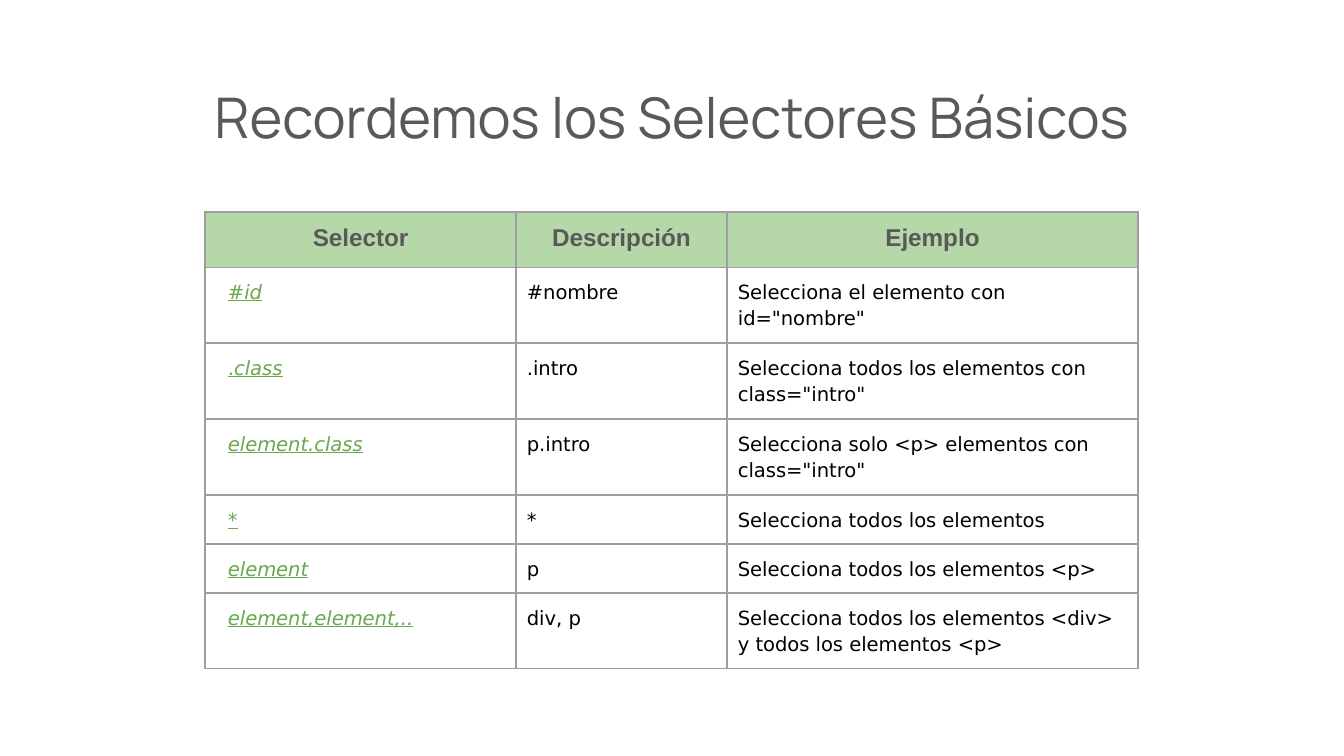
from dataclasses import dataclass

from pptx import Presentation
from pptx.dml.color import RGBColor as Rgb
from pptx.enum.text import MSO_ANCHOR as Anchor, PP_ALIGN as Align
from pptx.oxml import parse_xml
from pptx.oxml.ns import nsdecls
from pptx.util import Pt

UNIT = 914400 / 134.4


@dataclass(frozen=True)
class Theme:
    gray: str = "595959"
    green: str = "6AA84F"
    mint: str = "B6D7A8"
    black: str = "000000"
    edge: str = "9E9E9E"
    title: float = 30
    head: float = 13
    body: float = 10.5
    line: float = 0.75


LOOK = Theme()
HEAD = ("Selector", "Descripción", "Ejemplo")
ROWS = (
    ("#id", "#nombre", 'Selecciona el elemento con id="nombre"'),
    (".class", ".intro", 'Selecciona todos los elementos con class="intro"'),
    ("element.class", "p.intro", 'Selecciona solo <p> elementos con class="intro"'),
    ("*", "*", "Selecciona todos los elementos"),
    ("element", "p", "Selecciona todos los elementos <p>"),
    ("element,element,..", "div, p",
     "Selecciona todos los elementos <div> y todos los elementos <p>"),
)
WIDE = (311, 211, 411)
TALL = (54, 75, 75, 75, 49, 49, 75)


def px(num):
    return round(num * UNIT)


def write(para, text, size, font, color, bold=False, slant=False, under=False,
          align=Align.LEFT, space=None):
    para.alignment = align
    para.line_spacing = space
    run = para.add_run()
    run.text = text
    face = run.font
    face.name, face.size = font, Pt(size)
    face.color.rgb = Rgb.from_string(color)
    face.bold, face.italic, face.underline = bold, slant, under


def inset(part, left, rest):
    part.margin_left = px(left)
    part.margin_top = part.margin_right = part.margin_bottom = px(rest)


def border(cell):
    props = cell._tc.get_or_add_tcPr()
    for side in "LRTB":
        props.append(parse_xml(
            f'<a:ln{side} {nsdecls("a")} w="{Pt(LOOK.line)}"><a:solidFill>'
            f'<a:srgbClr val="{LOOK.edge}"/></a:solidFill></a:ln{side}>'))


def title(slide, box, text):
    frame = slide.shapes.add_textbox(*map(px, box)).text_frame
    frame.word_wrap = True
    frame.vertical_anchor = Anchor.MIDDLE
    inset(frame, 0, 0)
    write(frame.paragraphs[0], text, LOOK.title, "Manrope", LOOK.gray,
          align=Align.CENTER)


def header(cell, text):
    inset(cell, 13, 13)
    cell.fill.solid()
    cell.fill.fore_color.rgb = Rgb.from_string(LOOK.mint)
    write(cell.text_frame.paragraphs[0], text, LOOK.head, "Arial", LOOK.gray,
          bold=True, align=Align.CENTER)


def entry(cell, text, link):
    inset(cell, 23 if link else 11, 11)
    cell.fill.background()
    name = text.lstrip("#.*") if link else ""
    mark = text.removesuffix(name)
    color = LOOK.green if link else LOOK.black
    for part, slant in ((mark, False), (name, True)):
        if part:
            write(cell.text_frame.paragraphs[0], part, LOOK.body, "DejaVu Sans",
                  color, slant=slant, under=link, space=1.15)


def table(slide, box, rows):
    grid = slide.shapes.add_table(len(rows), len(WIDE), *map(px, box)).table
    grid.horz_banding = False
    for col, wide in zip(grid.columns, WIDE):
        col.width = px(wide)
    for row, tall in zip(grid.rows, TALL):
        row.height = px(tall)
    for i, row in enumerate(rows):
        for j, text in enumerate(row):
            cell = grid.cell(i, j)
            border(cell)
            if i == 0:
                header(cell, text)
            else:
                entry(cell, text, j == 0)


def main():
    deck = Presentation()
    deck.slide_width, deck.slide_height = px(1344), px(756)
    slide = deck.slides.add_slide(deck.slide_layouts[6])
    title(slide, (164, 74, 1016, 85), "Recordemos los Selectores Básicos")
    table(slide, (205, 212, sum(WIDE), sum(TALL)), (HEAD, *ROWS))
    deck.save("out.pptx")


if __name__ == "__main__":
    main()
